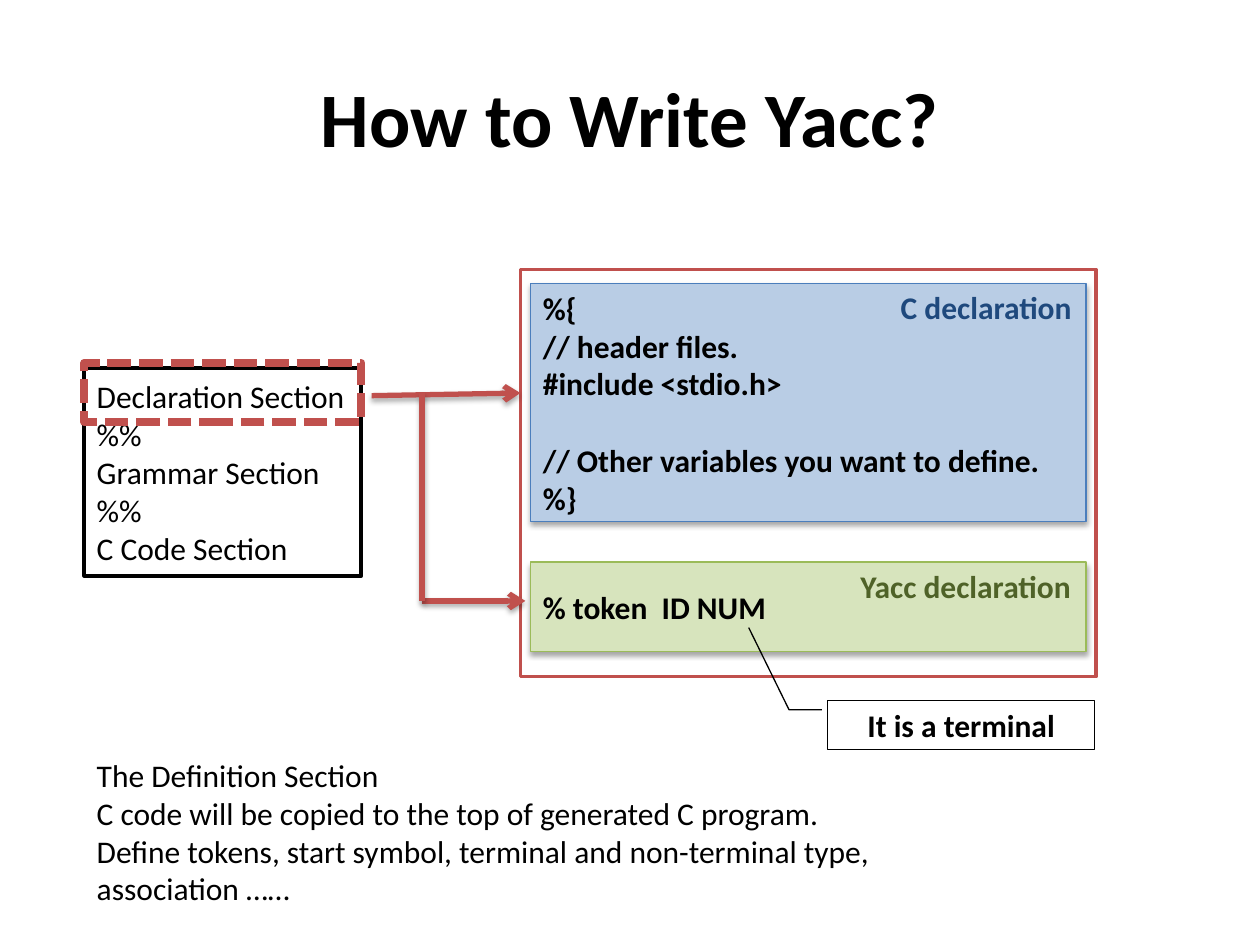
from pptx import Presentation
from pptx.util import Pt
from pptx.dml.color import RGBColor
from pptx.enum.dml import MSO_LINE
from pptx.enum.shapes import MSO_CONNECTOR, MSO_SHAPE
from pptx.enum.text import MSO_ANCHOR as ANCHOR, PP_ALIGN as ALIGN
from pptx.oxml import parse_xml
from pptx.oxml.ns import nsdecls

color = RGBColor.from_string
BLACK, RED = "000000", "C0504D"


def write(shape, lines, frame_format=None, align=ALIGN.LEFT, tint=BLACK, **font_format):
    frame = shape.text_frame
    for key, value in ({"word_wrap": True} | (frame_format or {})).items():
        setattr(frame, key, value)
    frame.text = "\n".join(lines)
    for paragraph in frame.paragraphs:
        paragraph.alignment = align
        for key, value in ({"name": "Calibri", "size": Pt(18)} | font_format).items():
            setattr(paragraph.font, key, value)
        paragraph.font.color.rgb = color(tint)


def add_shadow(shape):
    """Give the shape a soft shadow below; its line must be set already."""
    shape._element.spPr.append(parse_xml(
        f'<a:effectLst {nsdecls("a")}>'
        '<a:outerShdw blurRad="39370" dist="22860" dir="5400000" rotWithShape="0">'
        '<a:srgbClr val="000000"><a:alpha val="35000"/></a:srgbClr>'
        '</a:outerShdw></a:effectLst>'))


deck = Presentation()
deck.slide_width, deck.slide_height = Pt(720), Pt(540)
slide = deck.slides.add_slide(deck.slide_layouts[6])
shapes = slide.shapes

title = shapes.add_textbox(Pt(36), Pt(21.6), Pt(648), Pt(90))
write(title, ["How to Write Yacc?"], {"vertical_anchor": ANCHOR.MIDDLE},
      ALIGN.CENTER, size=Pt(44), bold=True)

# left, top, width, height, fill, line colour, line width
boxes = {
    "sections": (48.2, 210.2, 158.4, 118.8, None, BLACK, 2.25),
    "declarations": (297.4, 154.1, 329, 232.6, "FFFFFF", RED, 2),
    "highlight": (48.2, 207.4, 158.4, 33.8, None, RED, 4.5),
    "c code": (303.1, 162, 317.5, 136.1, "B9CDE5", "4B7EBC", 0.75),
    "yacc code": (303.1, 321.1, 317.5, 51.1, "D7E4BD", "9BBB59", 0.75),
    "terminal": (473, 400.3, 152.6, 28.1, None, BLACK, 0.75),
}
for part, (*place, fill, line, width) in boxes.items():
    preset = MSO_SHAPE.LINE_CALLOUT_2 if part == "terminal" else MSO_SHAPE.RECTANGLE
    box = shapes.add_shape(preset, *map(Pt, place))
    if fill:
        box.fill.solid()
        box.fill.fore_color.rgb = color(fill)
    else:
        box.fill.background()
    box.line.color.rgb = color(line)
    box.line.width = Pt(width)
    if part.endswith("code"):
        add_shadow(box)
    else:
        box.shadow.inherit = False
    boxes[part] = box

boxes["highlight"].line.dash_style = MSO_LINE.SQUARE_DOT
for i, value in enumerate([0.188, -0.022, 0.188, -0.145, -1.484, -0.296]):
    boxes["terminal"].adjustments[i] = value

write(boxes["sections"],
      ["Declaration Section", "%%", "Grammar Section", "%%", "C Code Section"])
write(boxes["c code"],
      ["%{", "// header files.", "#include <stdio.h>",
       "// Other variables you want to define.", "%}"], bold=True)
boxes["c code"].text_frame.paragraphs[3].space_before = Pt(22)
write(boxes["yacc code"], ["% token  ID NUM"], bold=True)
write(boxes["terminal"], ["It is a terminal"], align=ALIGN.CENTER, bold=True)

for label, tint, *place in [
    ("C declaration", "1F497D", 507.6, 161.3, 113.8, 28.8),
    ("Yacc declaration", "4F6228", 484.6, 320.4, 137.5, 28.8),
]:
    write(shapes.add_textbox(*map(Pt, place)), [label], {"word_wrap": False},
          tint=tint, bold=True)

definition = shapes.add_textbox(Pt(48.2), Pt(428.4), Pt(499), Pt(94.3))
write(definition, [
    "The Definition Section",
    "C code will be copied to the top of generated C program.",
    "Define tokens, start symbol, terminal and non-terminal type, association ……",
])

for has_arrow, *ends in [
    (True, 212.4, 226.1, 297.4, 224.6),
    (True, 241.2, 343.4, 300.2, 343.4),
    (False, 241.2, 224.6, 241.2, 343.4),
]:
    branch = shapes.add_connector(MSO_CONNECTOR.STRAIGHT, *map(Pt, ends))
    branch.line.color.rgb = color(RED)
    branch.line.width = Pt(3)
    if has_arrow:
        branch.line._get_or_add_ln().append(
            parse_xml(f'<a:tailEnd {nsdecls("a")} type="arrow"/>'))
    add_shadow(branch)

deck.save("out.pptx")
